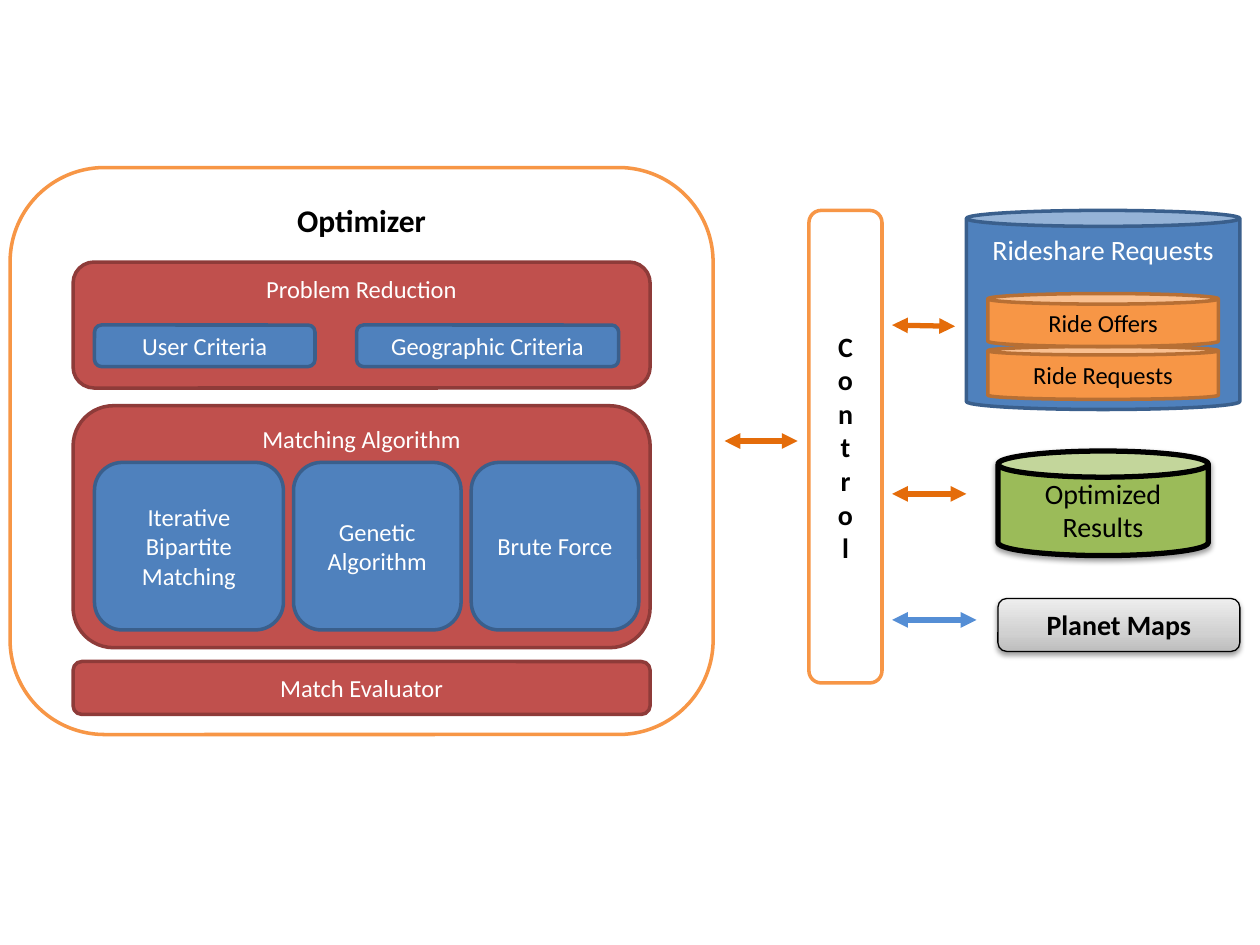
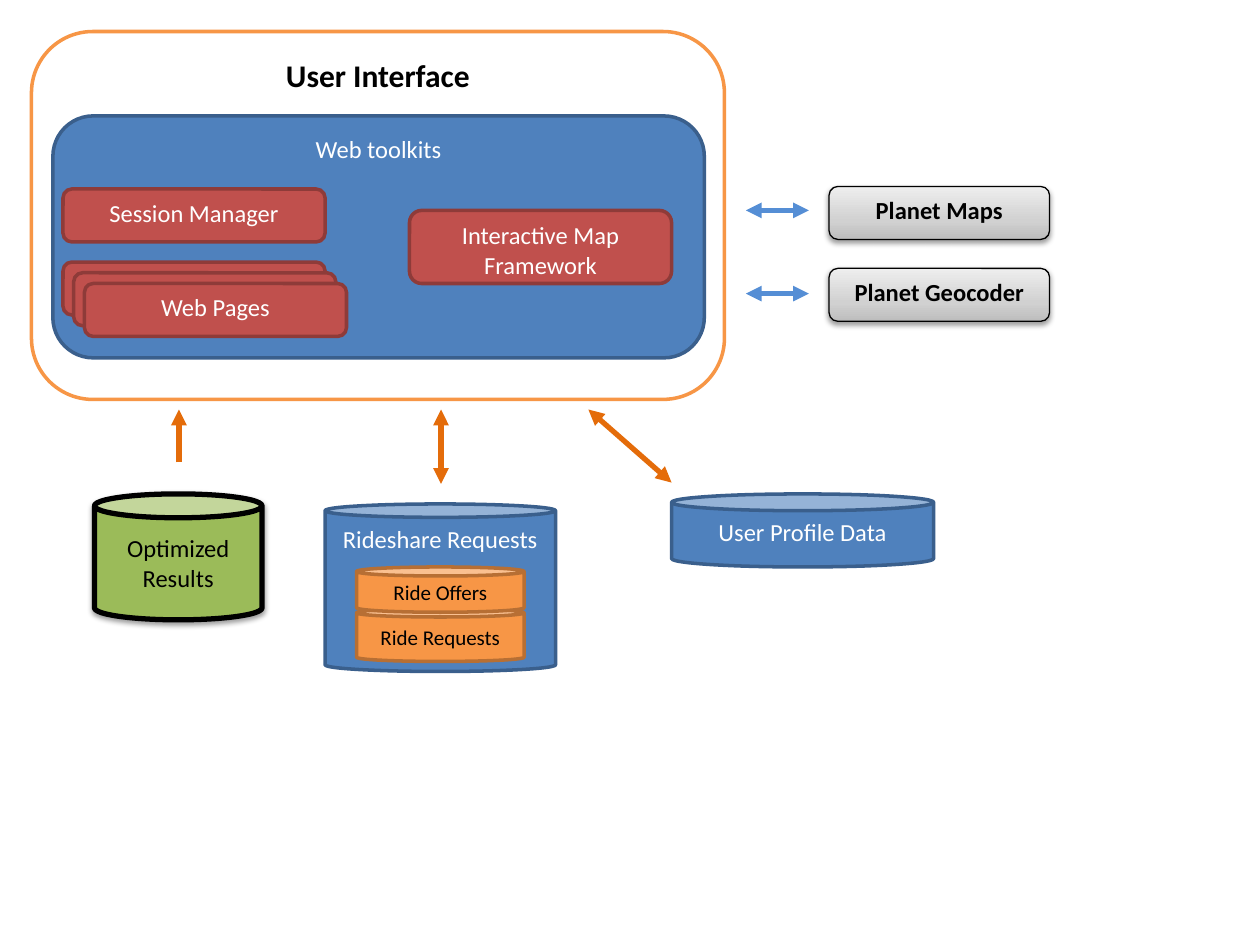
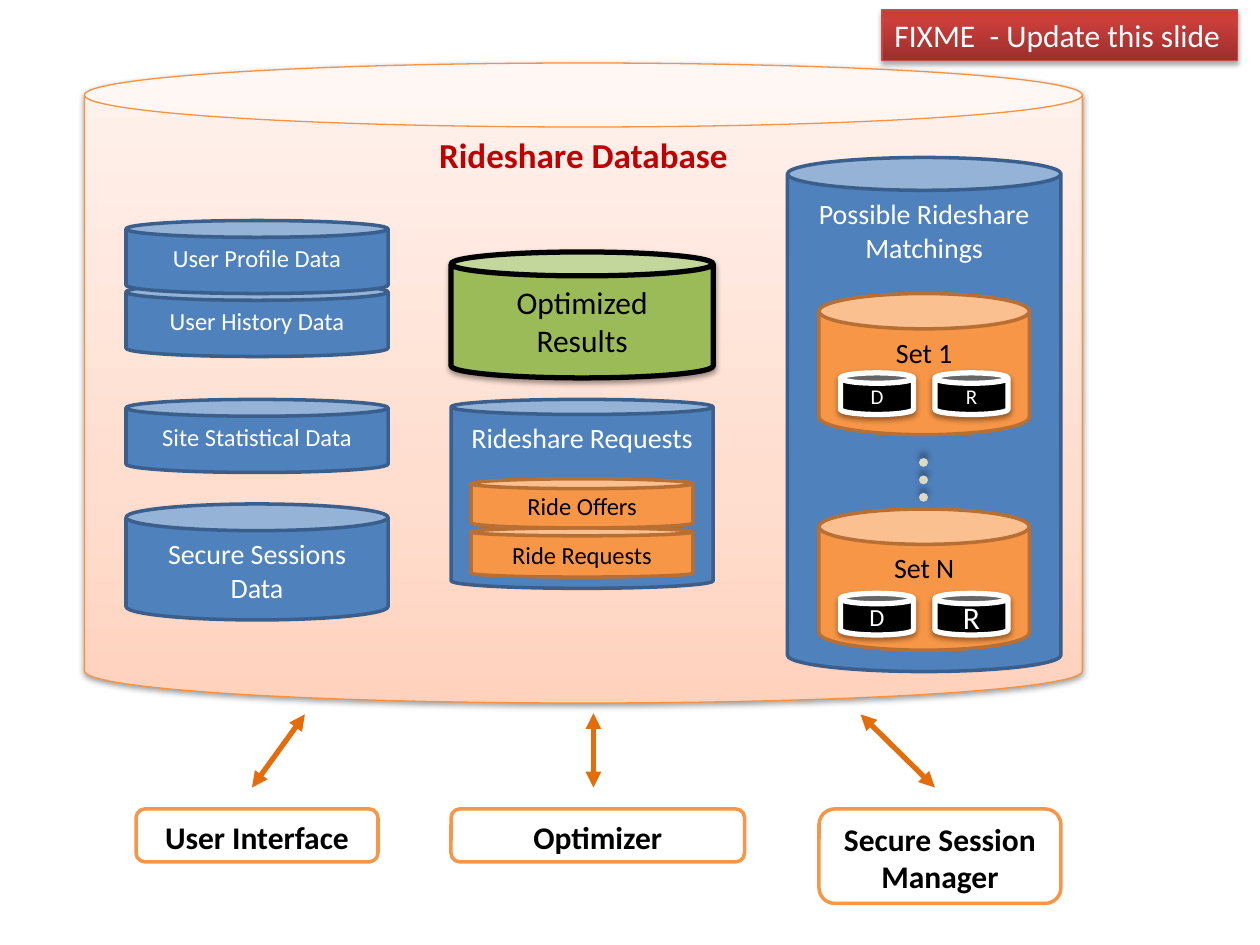
"""Build three architecture slides for a rideshare matching system."""
import lxml.etree
import pptx
import pptx.dml.color
import pptx.enum.dml
import pptx.enum.shapes
import pptx.enum.text
import pptx.oxml.ns
import pptx.util

Inches, Pt = pptx.util.Inches, pptx.util.Pt
RGB, qn = pptx.dml.color.RGBColor.from_string, pptx.oxml.ns.qn
SHAPE = pptx.enum.shapes.MSO_SHAPE
ANCHOR = pptx.enum.text.MSO_ANCHOR
ALIGN = pptx.enum.text.PP_ALIGN

FONT = "Calibri"
C = {
    "white": "FFFFFF", "black": "000000", "blue": "4F81BD", "blue_edge": "3A5F8C",
    "red": "C0504D", "red_edge": "8E3B39", "orange": "F79646", "orange_edge": "B76F34",
    "green": "9BBB59", "heading": "C00000", "db_edge": "F69240", "note_edge": "BF4C48",
    "internal": "E46C0A", "external": "558ED5", "dots": "DDD9C3",
}
GRADIENTS = {
    "silver": [(0, "BDBDBD"), (35, "D1D1D1"), (100, "EEEEEE")],
    "peach": [(0, "FFD2BD"), (35, "FFDED0"), (100, "FFF2ED")],
    "crimson": [(0, "9C2F2D"), (80, "CB3E3A"), (100, "CE3B37")],
}
SHADOW = (38, 3.1, 1.6, 90)
DOT_SHADOW = (40, 4, 3, 270)
BOX, CAN = SHAPE.ROUNDED_RECTANGLE, SHAPE.CAN
TOP, MIDDLE = ANCHOR.TOP, ANCHOR.MIDDLE

STYLES = {
    "frame": dict(kind=BOX, fill="white", edge="orange", ink="black", bold=True),
    "stage": dict(kind=BOX, fill="red", edge="red_edge"),
    "panel": dict(kind=BOX, fill="blue", edge="blue_edge"),
    "part": dict(kind=BOX, fill="blue", edge="blue_edge", anchor=MIDDLE),
    "service": dict(kind=BOX, fill="silver", edge="black", weight=0.75, ink="black",
                    bold=True, shadow=SHADOW),
    "store": dict(kind=CAN, fill="blue", edge="blue_edge", adj=0.23),
    "subset": dict(kind=CAN, fill="orange", edge="orange_edge", ink="black"),
    "result": dict(kind=CAN, fill="green", edge="black", weight=3, ink="black",
                   anchor=MIDDLE, shadow=SHADOW),
    "member": dict(kind=CAN, fill="black", edge="white", weight=3, anchor=MIDDLE,
                   shadow=SHADOW),
    "database": dict(kind=CAN, fill="peach", edge="db_edge", weight=0.75, ink="heading",
                     bold=True, adj=0.1, shadow=SHADOW),
    "note": dict(kind=SHAPE.RECTANGLE, fill="crimson", edge="note_edge", weight=0.75,
                 align=ALIGN.LEFT, wrap=False, shadow=(35, 3.1, 1.8, 90)),
}
DEFAULTS = dict(weight=2, ink="white", bold=False, anchor=TOP, align=ALIGN.CENTER,
                wrap=True, adj=None, shadow=None, vert=None)

OPTIMIZER = [
    ("result", (7.92, 3.58, 1.67, 0.83), "Optimized\nResults", 16, {}),
    ("frame", (0.08, 1.33, 5.58, 4.5), "Optimizer", 18, {}),
    ("stage", (0.58, 2.08, 4.58, 1), "Problem Reduction", 14, {}),
    ("stage", (0.58, 3.22, 4.58, 1.92), "Matching Algorithm", 14, {}),
    ("stage", (0.58, 5.25, 4.58, 0.42), "Match Evaluator", 14, {"anchor": MIDDLE}),
    ("service", (7.92, 4.75, 1.92, 0.42), "Planet Maps", 16, {}),
    ("frame", (6.42, 1.67, 0.58, 3.75), "Control", 16, {"vert": "wordArtVert"}),
]
CRITERIA = [(1.75, "User Criteria"), (2.08, "Geographic Criteria")]
ALGORITHMS = [(1.5, "Iterative\nBipartite Matching"), (1.33, "Genetic Algorithm"),
              (1.33, "Brute Force")]
OPTIMIZER_ARROWS = [
    ("external", (7.08, 4.92), (7.75, 4.92), True),
    ("internal", (5.75, 3.5), (6.33, 3.5), True),
    ("internal", (7.08, 2.58), (7.58, 2.59), True),
    ("internal", (7.08, 3.92), (7.67, 3.92), True),
]

INTERFACE = [
    ("frame", (0.25, 0.25, 5.5, 2.92), "User Interface", 18, {}),
    ("result", (0.75, 3.92, 1.33, 1), "Optimized\nResults", 14, {"adj": 0.19}),
    ("service", (6.58, 1.48, 1.75, 0.42), "Planet Maps", 14, {}),
    ("service", (6.58, 2.13, 1.75, 0.42), "Planet Geocoder", 14, {}),
    ("store", (5.33, 3.92, 2.08, 0.58), "User Profile Data", 14, {}),
    ("panel", (0.42, 0.92, 5.17, 1.92), "Web toolkits", 14, {}),
    ("stage", (0.5, 1.5, 2.08, 0.42), "Session Manager", 14, {}),
    ("stage", (3.25, 1.67, 2.08, 0.58), "Interactive Map\nFramework", 14, {}),
]
PAGES = ["", "", "Web Pages"]
INTERFACE_ARROWS = [
    ("external", (6.42, 1.67), (5.92, 1.67), True),
    ("external", (6.42, 2.33), (5.92, 2.33), True),
    ("internal", (1.42, 3.67), (1.42, 3.25), False),
    ("internal", (3.5, 3.84), (3.5, 3.25), True),
    ("internal", (5.33, 3.83), (4.67, 3.25), True),
]

DATABASE = [
    ("database", (0.67, 0.5, 7.92, 5.08), "Rideshare Database", 20, {}),
    ("result", (3.58, 2, 2.08, 1), "Optimized\nResults", 18, {"adj": 0.19}),
    ("store", (1, 4, 2.08, 0.92), "Secure Sessions\nData", 16, {}),
    ("store", (1, 3.17, 2.08, 0.58), "Site Statistical Data", 14, {}),
    ("store", (1, 2.25, 2.08, 0.58), "User History Data", 14, {}),
    ("store", (1, 1.75, 2.08, 0.58), "User Profile Data", 14, {}),
    ("frame", (1.08, 6.42, 1.92, 0.42), "User Interface", 18, {}),
    ("frame", (3.58, 6.42, 2.33, 0.42), "Optimizer", 18, {}),
    ("frame", (6.5, 6.42, 1.92, 0.75), "Secure Session Manager", 18, {}),
    ("store", (6.25, 1.25, 2.17, 4.08), "Possible Rideshare Matchings", 16, {"adj": 0.12}),
    ("note", (7, 0.08, 2.82, 0.4), "FIXME  - Update this slide", 18, {}),
]
MATCH_SETS = [("Set 1", 2.33, 2.96, (("D", 12), ("R", 12))),
              ("Set N", 4.04, 4.71, (("D", 14), ("R", 18)))]
DATABASE_ARROWS = [
    ("internal", (2, 6.25), (2.42, 5.67), True),
    ("internal", (4.71, 6.25), (4.71, 5.66), True),
    ("internal", (7.42, 6.25), (6.83, 5.67), True),
]


def add_xml(parent, tag, **attrs):
    return lxml.etree.SubElement(parent, qn(tag), {k: str(v) for k, v in attrs.items()})


def add_effects(effects, shadow):
    if shadow:
        alpha, blur, dist, angle = shadow
        outer = add_xml(effects, "a:outerShdw", blurRad=int(Pt(blur)), dist=int(Pt(dist)),
                        dir=angle * 60000, rotWithShape=0)
        color = add_xml(outer, "a:srgbClr", val=C["black"])
        add_xml(color, "a:alpha", val=alpha * 1000)


def paint(sp, name):
    if name in C:
        sp.fill.solid()
        sp.fill.fore_color.rgb = RGB(C[name])
        return
    sp.fill.gradient()
    sp.fill.gradient_angle = 90
    stops = sp.element.spPr.find(".//" + qn("a:gsLst"))
    for stop in list(stops):
        stops.remove(stop)
    for pos, color in GRADIENTS[name]:
        add_xml(add_xml(stops, "a:gs", pos=pos * 1000), "a:srgbClr", val=color)


def add_part(s, style, box, text, size, changes=None):
    look = {**DEFAULTS, **STYLES[style], **(changes or {})}
    sp = s.shapes.add_shape(look["kind"], *map(Inches, box))
    if look["adj"] is not None:
        sp.adjustments[0] = look["adj"]
    paint(sp, look["fill"])
    sp.line.color.rgb = RGB(C[look["edge"]])
    sp.line.width = Pt(look["weight"])
    sp.shadow.inherit = False
    add_effects(sp.element.spPr.find(qn("a:effectLst")), look["shadow"])
    if not text:
        return
    tf = sp.text_frame
    tf.text = text
    tf.word_wrap, tf.vertical_anchor = look["wrap"], look["anchor"]
    if look["vert"]:
        tf._txBody.find(qn("a:bodyPr")).set("vert", look["vert"])
    font = dict(name=FONT, size=Pt(size), bold=look["bold"])
    for p in tf.paragraphs:
        p.alignment = look["align"]
        for r in p.runs:
            for key, value in font.items():
                setattr(r.font, key, value)
            r.font.color.rgb = RGB(C[look["ink"]])


def add_line(s, color, start, end, width, shadow=None):
    line = s.shapes.add_connector(pptx.enum.shapes.MSO_CONNECTOR.STRAIGHT,
                                  *map(Inches, start + end))
    line.line.color.rgb = RGB(C[color])
    line.line.width = Pt(width)
    spPr = line.element.spPr
    add_effects(add_xml(spPr, "a:effectLst"), shadow)
    return line, spPr.find(qn("a:ln"))


def add_arrows(s, arrows):
    for color, start, end, both in arrows:
        ln = add_line(s, color, start, end, 3)[1]
        if both:
            add_xml(ln, "a:headEnd", type="triangle")
        add_xml(ln, "a:tailEnd", type="triangle")


def add_row(s, left, top, height, gap, items):
    for width, text in items:
        add_part(s, "part", (left, top, width, height), text, 14)
        left += width + gap


def add_requests(s, box, size, inset, drop, pitch, heights):
    left, top, width, _ = box
    add_part(s, "store", box, "Rideshare Requests", size, {"adj": 0.08})
    subsets = zip(("Ride Offers", "Ride Requests"), (0, pitch), heights, (0.2, 0.16))
    for text, shift, height, adj in reversed(list(subsets)):
        add_part(s, "subset", (left + inset, top + drop + shift, width - 2 * inset, height),
                 text, size - 2, {"adj": adj, "anchor": MIDDLE})


def add_matchings(s):
    for text, top, member_top, members in MATCH_SETS:
        add_part(s, "subset", (6.5, top, 1.67, 1.12), text, 16)
        for i, (label, size) in enumerate(members):
            add_part(s, "member", (6.67 + 0.75 * i, member_top, 0.58, 0.33), label, size)
    line, ln = add_line(s, "dots", (7.33, 3.67), (7.33, 4.08), 5, DOT_SHADOW)
    line.line.dash_style = pptx.enum.dml.MSO_LINE.ROUND_DOT
    ln.set("cap", "rnd")


def add_slide(prs, parts, arrows):
    s = prs.slides.add_slide(prs.slide_layouts[6])
    for part in parts:
        add_part(s, *part)
    add_arrows(s, arrows)
    return s


def main():
    prs = pptx.Presentation()
    prs.slide_width, prs.slide_height = Inches(10), Inches(7.5)

    s = add_slide(prs, OPTIMIZER, OPTIMIZER_ARROWS)
    add_row(s, 0.75, 2.58, 0.33, 0.33, CRITERIA)
    add_row(s, 0.75, 3.67, 1.33, 0.08, ALGORITHMS)
    add_requests(s, (7.67, 1.67, 2.17, 1.58), 16, 0.17, 0.66, 0.42, (0.42, 0.42))

    s = add_slide(prs, INTERFACE, INTERFACE_ARROWS)
    for i, text in enumerate(PAGES):
        shift = 0.085 * i
        add_part(s, "stage", (0.5 + shift, 2.08 + shift, 2.08, 0.42), text, 14)
    add_requests(s, (2.58, 4, 1.83, 1.33), 14, 0.25, 0.5, 0.33, (0.36, 0.42))

    s = add_slide(prs, DATABASE, DATABASE_ARROWS)
    add_requests(s, (3.58, 3.17, 2.08, 1.5), 16, 0.16, 0.63, 0.39, (0.39, 0.39))
    add_matchings(s)

    prs.save("out.pptx")


if __name__ == "__main__":
    main()
